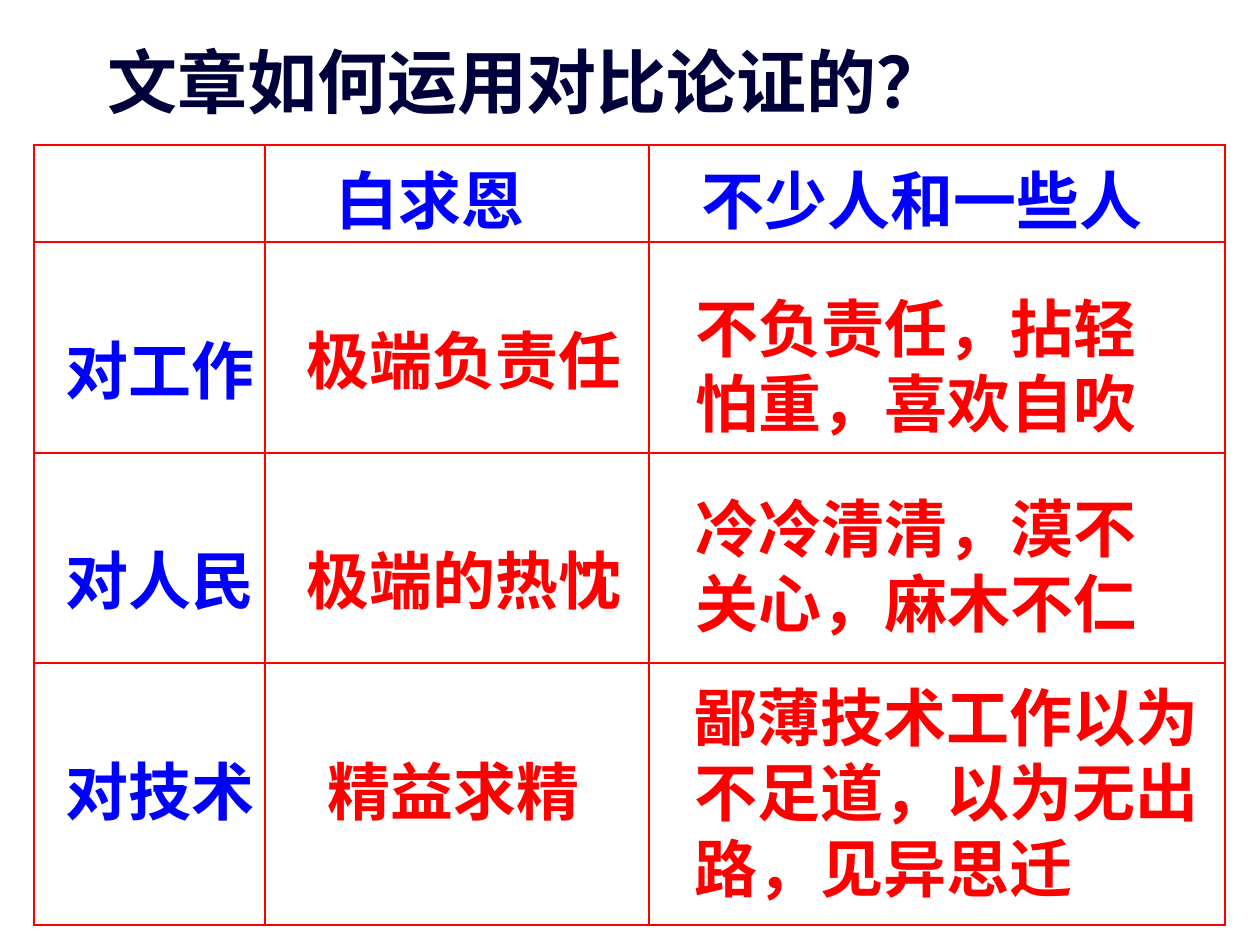
from pptx import Presentation
from pptx.dml.color import RGBColor
from pptx.enum.text import MSO_AUTO_SIZE
from pptx.oxml import parse_xml
from pptx.oxml.ns import nsdecls
from pptx.util import Pt
from lxml.etree import SubElement
from pptx.oxml.ns import qn

PX = 914400 // 126
NAVY = RGBColor(0x00, 0x00, 0x3A)
BLUE = RGBColor(0x00, 0x00, 0xFF)
RED = RGBColor(0xFF, 0x00, 0x00)
TITLE_FONT = "Noto Sans CJK SC"
BODY_FONT = "DejaVu Sans"

TITLE = ("文章如何运用对比论证的？", 95, 32, 829, 97)
COLUMNS = [231, 384, 576]
ROWS = [97, 211, 210, 262]
TABLE_LEFT, TABLE_TOP = 34, 145
HEADINGS = [
    ("白求恩", 323, 155, 277, 88),
    ("不少人和一些人", 689, 155, 517, 88),
    ("对工作", 53, 325, 249, 88),
    ("对人民", 53, 535, 260, 88),
    ("对技术", 53, 746, 260, 88),
]
ANSWERS = [
    ("极端负责任", 294, 315, 343, 88),
    ("极端的热忱", 294, 535, 375, 88),
    ("精益求精", 315, 746, 335, 88),
    ("不负责任，拈轻怕重，喜欢自吹", 683, 283, 484, 164),
    ("冷冷清清，漠不关心，麻木不仁", 683, 483, 523, 164),
    ("鄙薄技术工作以为不足道，以为无出路，见异思迁", 682, 672, 537, 239),
]


def add_label(page, label, color, size=36, font=BODY_FONT):
    text, *place = label
    box = page.shapes.add_textbox(*(value * PX for value in place))
    frame = box.text_frame
    frame.word_wrap = True
    frame.auto_size = MSO_AUTO_SIZE.SHAPE_TO_FIT_TEXT
    frame.text = text
    span = frame.paragraphs[0].runs[0]
    span.font.size = Pt(size)
    span.font.bold = True
    span.font.color.rgb = color
    span.font.name = font
    SubElement(span.font._element, qn("a:ea"), typeface=font)


def add_borders(cell):
    properties = cell._tc.get_or_add_tcPr()
    for index, side in enumerate(("lnL", "lnR", "lnT", "lnB")):
        properties.insert(index, parse_xml(
            f'<a:{side} {nsdecls("a")} w="{Pt(1)}"><a:solidFill>'
            f'<a:srgbClr val="{RED}"/></a:solidFill></a:{side}>'))


def add_grid(page):
    table = page.shapes.add_table(
        len(ROWS), len(COLUMNS), TABLE_LEFT * PX, TABLE_TOP * PX,
        sum(COLUMNS) * PX, sum(ROWS) * PX).table
    table.first_row = False
    table.horz_banding = False
    for column, width in zip(table.columns, COLUMNS):
        column.width = width * PX
    for row, height in zip(table.rows, ROWS):
        row.height = height * PX
    for cell in table.iter_cells():
        cell.fill.background()
        add_borders(cell)


def main():
    deck = Presentation()
    deck.slide_width, deck.slide_height = 1260 * PX, 945 * PX
    page = deck.slides.add_slide(deck.slide_layouts[6])
    add_label(page, TITLE, NAVY, 40, TITLE_FONT)
    add_grid(page)
    for labels, color in ((HEADINGS, BLUE), (ANSWERS, RED)):
        for label in labels:
            add_label(page, label, color)
    deck.save("out.pptx")


if __name__ == "__main__":
    main()
